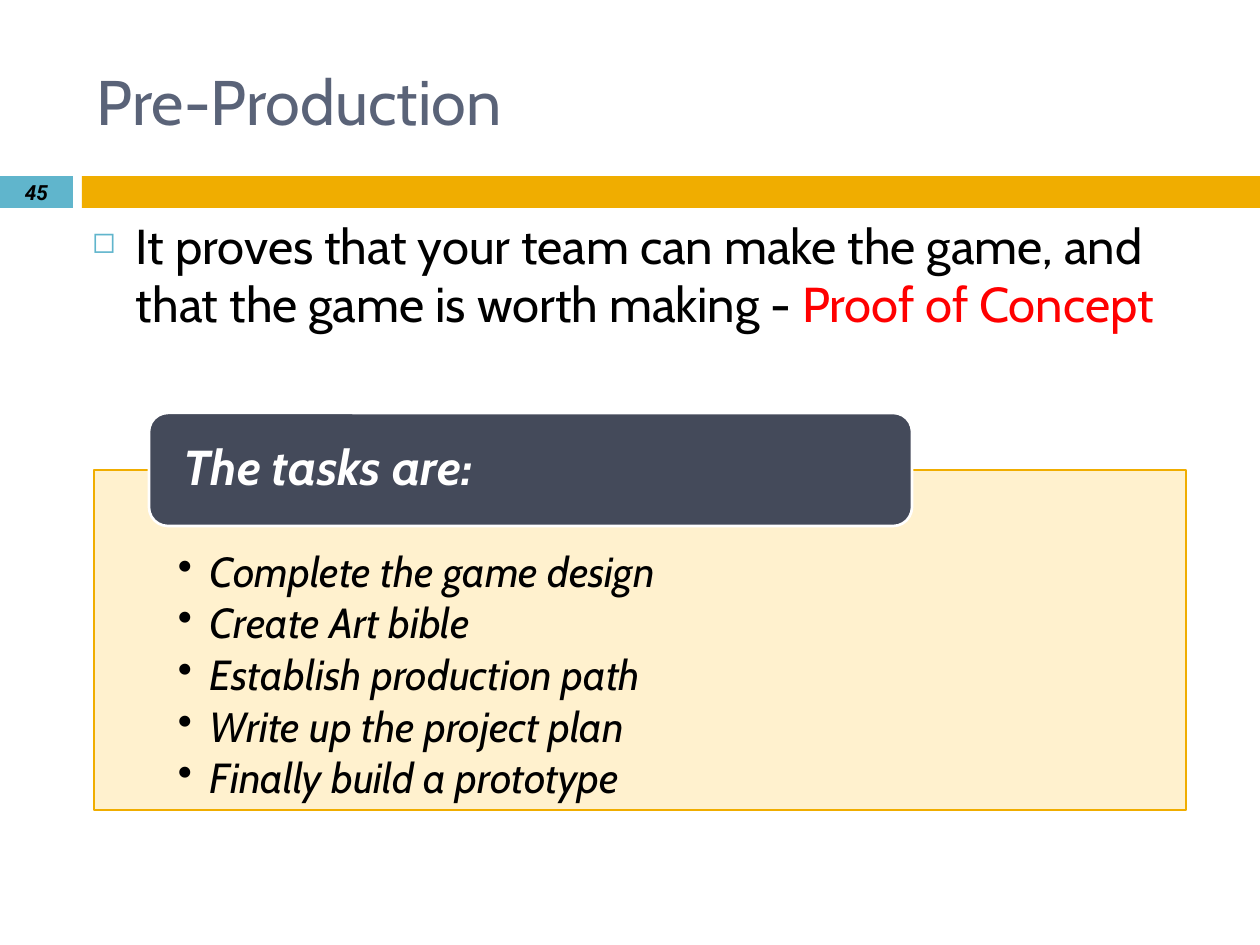
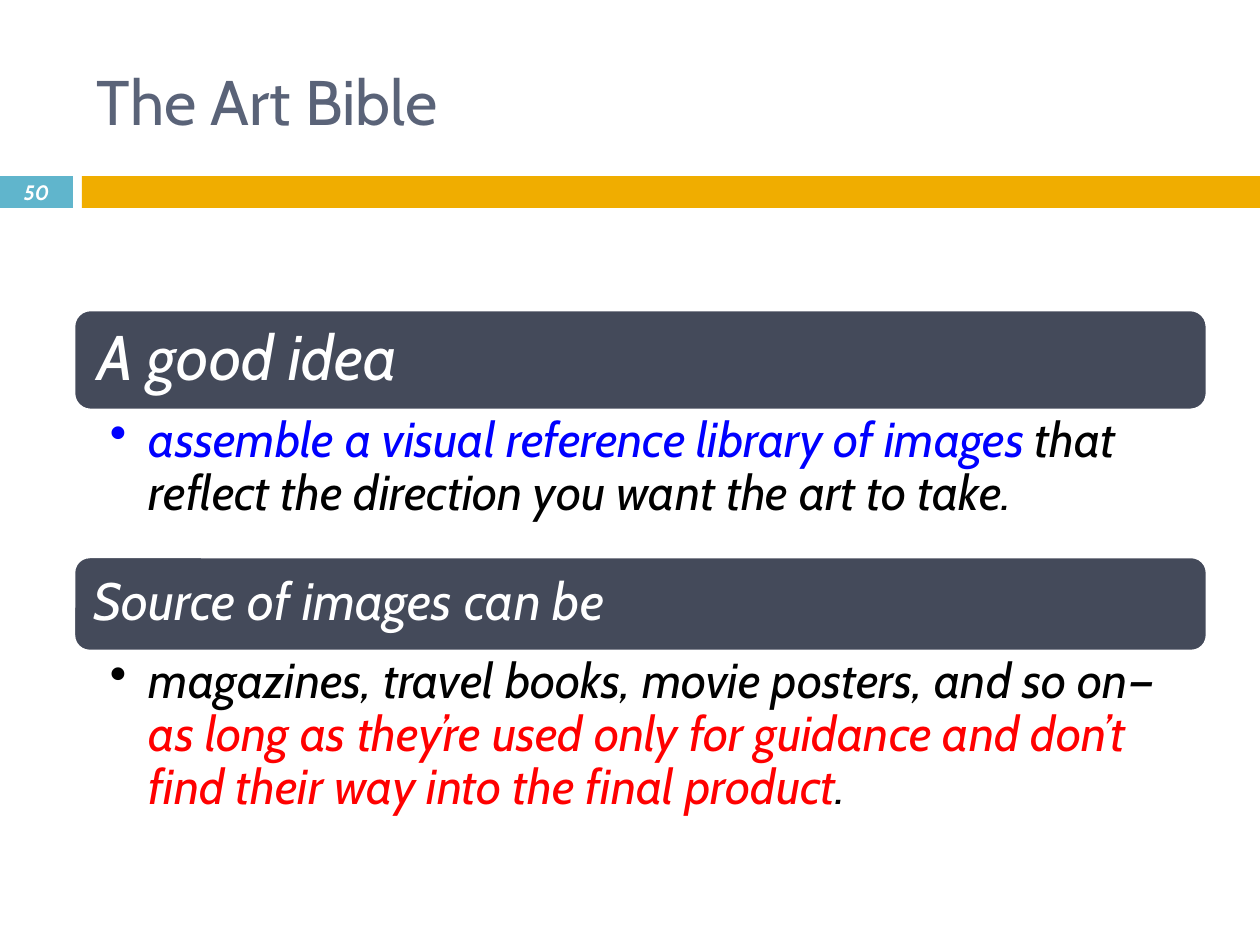
from lxml import etree
from pptx import Presentation
from pptx import util as u
from pptx.dml.color import RGBColor
from pptx.enum import shapes, text
from pptx.oxml.ns import qn

PX = u.Inches(1) / 126
FONT, NUMBER_FONT = "Cabin", "Roboto"
WHITE = RGBColor(0xFF, 0xFF, 0xFF)
BLACK = RGBColor(0x00, 0x00, 0x00)
RED = RGBColor(0xFF, 0x00, 0x00)
BLUE = RGBColor(0x00, 0x00, 0xFF)
SLATE = RGBColor(0x5A, 0x63, 0x78)
DARK = RGBColor(0x44, 0x4A, 0x5A)
TEAL = RGBColor(0x60, 0xB5, 0xCC)
AMBER = RGBColor(0xF0, 0xAD, 0x00)
CREAM = RGBColor(0xFF, 0xF0, 0xC9)

RECTANGLE = shapes.MSO_SHAPE.RECTANGLE
ROUNDED = shapes.MSO_SHAPE.ROUNDED_RECTANGLE
MIDDLE, TOP = text.MSO_ANCHOR.MIDDLE, text.MSO_ANCHOR.TOP
LEFT, CENTER = text.PP_ALIGN.LEFT, text.PP_ALIGN.CENTER
DEFAULT_INSETS = (13, 6, 13, 6)


def px(*lengths):
    return [round(length * PX) for length in lengths]


def set_all(target, values):
    for name, value in values.items():
        setattr(target, name, value)


class Deck:
    def __init__(self):
        self.presentation = Presentation()
        set_all(self.presentation, {"slide_width": u.Inches(10),
                                    "slide_height": u.Inches(7.5)})
        self.slide = None

    def start_slide(self, title, number, number_font, number_color):
        layout = self.presentation.slide_layouts[6]
        self.slide = self.presentation.slides.add_slide(layout)
        self.box(RECTANGLE, (82, 176, 1178, 32), AMBER)
        label = self.box(RECTANGLE, (0, 176, 73, 32), TEAL)
        self.fill_text(label, [[(number, number_color)]], 11.9, anchor=MIDDLE,
                       insets=(0, 0, 0, 0), align=CENTER,
                       font={"name": number_font, "bold": True,
                             "italic": True})
        self.text_box((84, 32, 1124, 136), [[(title, SLATE)]], 36,
                      anchor=MIDDLE)

    def box(self, kind, place, fill, line=None, opacity=None):
        shape = self.slide.shapes.add_shape(kind, *px(*place))
        shape.shadow.inherit = False
        shape.fill.solid()
        shape.fill.fore_color.rgb = fill
        if opacity:
            color = shape.element.find(".//" + qn("a:srgbClr"))
            etree.SubElement(color, qn("a:alpha"), val=str(opacity * 1000))
        if line is None:
            shape.line.fill.background()
        else:
            shape.line.color.rgb = line
            shape.line.width = u.Pt(1.5)
        return shape

    def text_box(self, place, paragraphs, size, **style):
        shape = self.slide.shapes.add_textbox(*px(*place))
        self.fill_text(shape, paragraphs, size, **style)

    def heading(self, place, words, size, inset, bold=False):
        shape = self.box(ROUNDED, place, DARK, line=WHITE)
        self.fill_text(shape, [[(words, WHITE)]], size, anchor=MIDDLE,
                       insets=(inset, 0, inset, 0),
                       spacing={"line_spacing": 0.9},
                       font={"italic": True, "bold": bold})

    def fill_text(self, shape, paragraphs, size, anchor=TOP,
                  insets=DEFAULT_INSETS, align=LEFT, spacing=None, font=None,
                  bullet=None):
        frame = shape.text_frame
        left, top, right, bottom = px(*insets)
        set_all(frame, {"word_wrap": True, "vertical_anchor": anchor,
                        "margin_left": left, "margin_top": top,
                        "margin_right": right, "margin_bottom": bottom})
        for index, runs in enumerate(paragraphs):
            paragraph = frame.add_paragraph() if index else frame.paragraphs[0]
            set_all(paragraph, {"alignment": align, **(spacing or {})})
            if bullet:
                self.add_bullet(paragraph, **bullet)
            for words, color in runs:
                run = paragraph.add_run()
                run.text = words
                set_all(run.font, {"name": FONT, "size": u.Pt(size),
                                   **(font or {})})
                run.font.color.rgb = color

    def add_bullet(self, paragraph, indent, mark="•", color=None, percent=100):
        properties = paragraph._p.get_or_add_pPr()
        width = px(indent)[0]
        properties.set("marL", str(width))
        properties.set("indent", str(-width))
        if color is not None:
            holder = etree.SubElement(properties, qn("a:buClr"))
            etree.SubElement(holder, qn("a:srgbClr"), val=str(color))
        etree.SubElement(properties, qn("a:buSzPct"), val=str(percent * 1000))
        etree.SubElement(properties, qn("a:buChar"), char=mark)


def build_pre_production(deck):
    deck.start_slide("Pre-Production", "45", NUMBER_FONT, BLACK)
    statement = [("It proves that your team can make the game, and that "
                  "the game is worth making - ", BLACK),
                 ("Proof of Concept", RED)]
    deck.text_box((79, 209, 1134, 218), [statement], 28,
                  spacing={"space_before": u.Pt(7)},
                  bullet={"indent": 44, "mark": "◻", "color": TEAL,
                          "percent": 60})
    tasks = ["Complete the game design", "Create Art bible",
             "Establish production path", "Write up the project plan",
             "Finally build a prototype"]
    panel = deck.box(RECTANGLE, (94, 470, 1092, 340), CREAM, AMBER, opacity=90)
    deck.fill_text(panel, [[(task, BLACK)] for task in tasks], 24,
                   insets=(84, 81, 84, 24), font={"italic": True},
                   spacing={"line_spacing": 0.9, "space_after": u.Pt(3.6)},
                   bullet={"indent": 32})
    deck.heading((149, 413, 763, 113), "The tasks are:", 28, 29, bold=True)


def build_art_bible(deck):
    deck.start_slide("The Art Bible", "50", FONT, WHITE)
    idea = [("assemble a visual reference library of images ", BLUE),
            ("that reflect the direction you want the art to take.", BLACK)]
    sources = [("magazines, travel books, movie posters, and so on—", BLACK),
               ("as long as they’re used only for guidance and don’t find "
                "their way into the final product", RED),
               (".", BLACK)]
    sections = [("A good idea", 36, 19, 310, 100, 146, idea),
                ("Source of images can be", 30, 15, 557, 94, 155, sources)]
    for words, size, inset, top, height, body_height, body in sections:
        deck.heading((74, top, 1133, height), words, size, inset)
        deck.text_box((74, top + height, 1133, body_height), [body], 28,
                      insets=(36, 5, 28, 5), font={"italic": True},
                      spacing={"line_spacing": 0.9, "space_after": u.Pt(5.6)},
                      bullet={"indent": 39})


def main():
    deck = Deck()
    build_pre_production(deck)
    build_art_bible(deck)
    deck.presentation.save("out.pptx")


if __name__ == "__main__":
    main()
